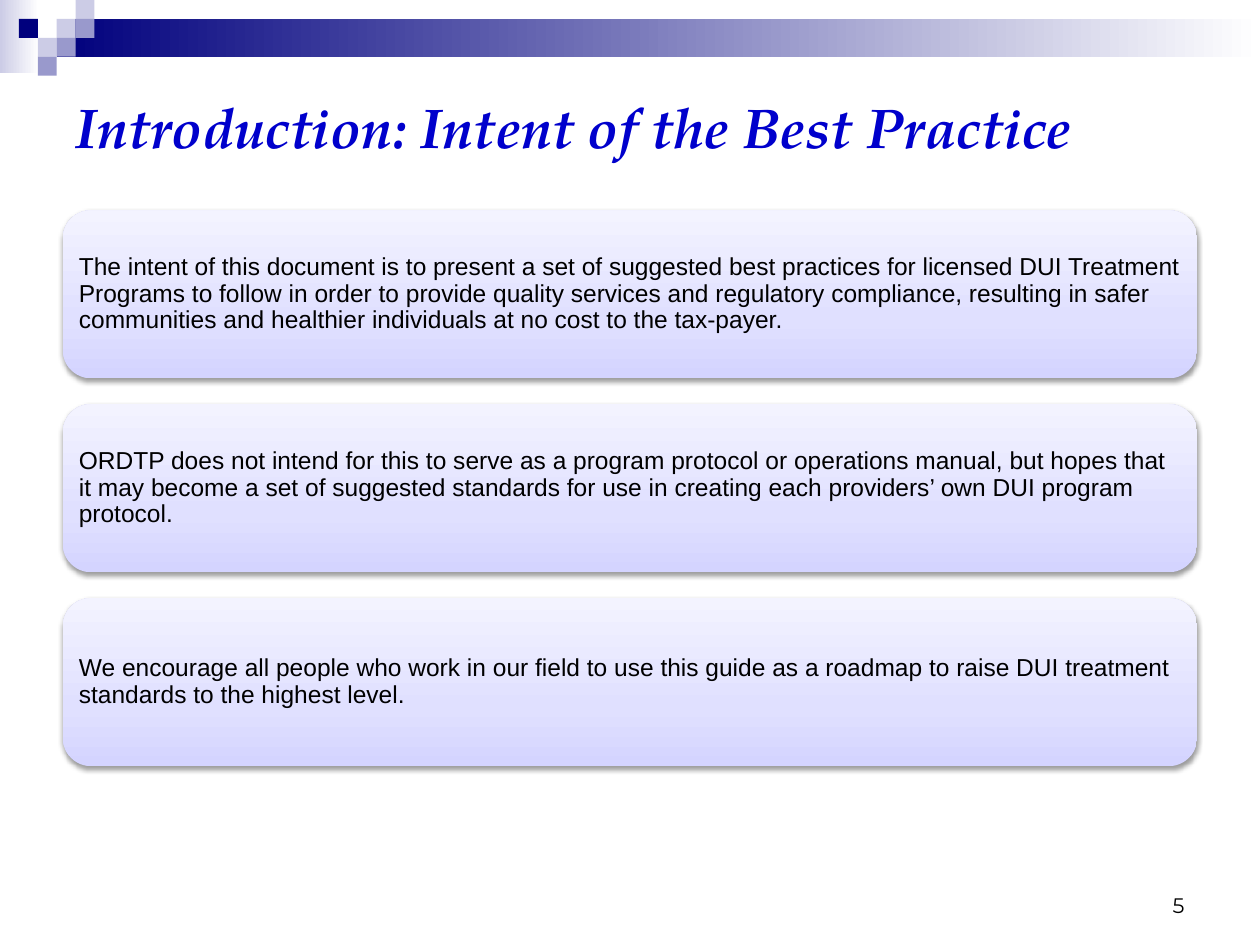
import pptx
import pptx.util
import pptx.dml.color
import pptx.enum.shapes
import pptx.enum.text
import pptx.oxml
import pptx.oxml.ns

Pt = pptx.util.Pt
RGB = pptx.dml.color.RGBColor.from_string
SHAPE = pptx.enum.shapes.MSO_SHAPE
ALIGN = pptx.enum.text.PP_ALIGN
ANCHOR = pptx.enum.text.MSO_ANCHOR

COLORS = {
    "navy": "00007D", "mid": "9999CC", "pale": "CCCCE6", "white": "FFFFFF",
    "title": "0000CC", "black": "000000",
    "card_dark": "D4D4FF", "card_mid": "E0E0FF", "card_light": "F3F3FF",
}
TITLE = "Introduction: Intent of the Best Practice"
CARDS = [
    "The intent of this document is to present a set of suggested best practices for "
    "licensed DUI Treatment Programs to follow in order to provide quality services and "
    "regulatory compliance, resulting in safer communities and healthier individuals at "
    "no cost to the tax-payer.",
    "ORDTP does not intend for this to serve as a program protocol or operations manual, "
    "but hopes that it may become a set of suggested standards for use in creating each "
    "providers’ own DUI program protocol.",
    "We encourage all people who work in our field to use this guide as a roadmap to "
    "raise DUI treatment standards to the highest level.",
]
PAGE_NUMBER = "5"

# Gradient stops: (position in percent, colour)
EDGE_STOPS = [(0, "pale"), (100, "white")]
BAR_STOPS = [(0, "navy"), (100, "white")]
CARD_STOPS = [(0, "card_dark"), (35, "card_mid"), (100, "card_light")]

# Header squares: (column, row, colour) on a grid of SQUARE points
SQUARE = 10.8
SQUARES = [(3, 1, "pale"), (4, 0, "pale"), (4, 1, "mid"), (2, 2, "pale"),
           (1, 1, "navy"), (3, 2, "mid"), (2, 3, "mid")]

CARD_LEFT, CARD_TOP, CARD_WIDTH, CARD_HEIGHT = 36, 120.2, 648, 96
CARD_STEP = 110.8


def add_block(s, kind, left, top, width, height, color=None, stops=(), angle=0):
    """Add an unlined shape; angle turns the gradient clockwise."""
    sp = s.shapes.add_shape(kind, Pt(left), Pt(top), Pt(width), Pt(height))
    sp.shadow.inherit = False
    sp.line.fill.background()
    if color:
        sp.fill.solid()
        sp.fill.fore_color.rgb = RGB(COLORS[color])
        return sp
    sp.fill.background()
    marks = "".join(f'<a:gs pos="{pos * 1000}"><a:srgbClr val="{COLORS[name]}"/></a:gs>'
                    for pos, name in stops)
    grad = pptx.oxml.parse_xml(
        f'<a:gradFill {pptx.oxml.ns.nsdecls("a")} rotWithShape="1"><a:gsLst>{marks}</a:gsLst>'
        f'<a:lin ang="{angle * 60000}" scaled="0"/></a:gradFill>')
    no_fill = sp._element.spPr.find(pptx.oxml.ns.qn("a:noFill"))
    no_fill.getparent().replace(no_fill, grad)
    return sp


def add_shadow(sp):
    effects = sp._element.spPr.find(pptx.oxml.ns.qn("a:effectLst"))
    effects.append(pptx.oxml.parse_xml(
        f'<a:outerShdw {pptx.oxml.ns.nsdecls("a")} blurRad="{Pt(3.1)}" dist="{Pt(1.6)}" '
        f'dir="5400000" rotWithShape="0"><a:srgbClr val="{COLORS["black"]}">'
        '<a:alpha val="38000"/></a:srgbClr></a:outerShdw>'))


def set_text(sp, text, *, size, font, color="black", bold=False, italic=False,
             align=ALIGN.LEFT, anchor=ANCHOR.MIDDLE, inset=None, spacing=None):
    tf = sp.text_frame
    tf.word_wrap = True
    tf.vertical_anchor = anchor
    if inset is not None:
        tf.margin_left = tf.margin_right = tf.margin_top = tf.margin_bottom = Pt(inset)
    p = tf.paragraphs[0]
    p.alignment = align
    p.line_spacing = spacing
    r = p.add_run()
    r.text = text
    r.font.size = Pt(size)
    r.font.name = font
    r.font.bold = bold
    r.font.italic = italic
    r.font.color.rgb = RGB(COLORS[color])


def add_header(s):
    add_block(s, SHAPE.RECTANGLE, 0, 0, 22.3, 41.8, stops=EDGE_STOPS)
    add_block(s, SHAPE.RECTANGLE, 32.4, 10.8, 687.6, 21.6, stops=BAR_STOPS)
    for col, row, color in SQUARES:
        add_block(s, SHAPE.RECTANGLE, col * SQUARE, row * SQUARE, SQUARE, SQUARE, color)


def main():
    prs = pptx.Presentation()
    prs.slide_width, prs.slide_height = Pt(720), Pt(540)
    s = prs.slides.add_slide(prs.slide_layouts[6])
    add_header(s)

    title = s.shapes.add_textbox(Pt(36), Pt(36), Pt(630), Pt(72))
    set_text(title, TITLE, size=32, font="TeX Gyre Pagella", color="title",
             bold=True, italic=True)

    for i, text in enumerate(CARDS):
        card = add_block(s, SHAPE.ROUNDED_RECTANGLE, CARD_LEFT, CARD_TOP + i * CARD_STEP,
                         CARD_WIDTH, CARD_HEIGHT, stops=CARD_STOPS, angle=270)
        add_shadow(card)
        set_text(card, text, size=14, font="Arial", inset=4.4, spacing=0.9)

    number = s.shapes.add_textbox(Pt(516), Pt(492), Pt(168), Pt(36))
    set_text(number, PAGE_NUMBER, size=12, font="Montserrat", align=ALIGN.RIGHT,
             anchor=ANCHOR.BOTTOM)
    prs.save("out.pptx")


if __name__ == "__main__":
    main()
